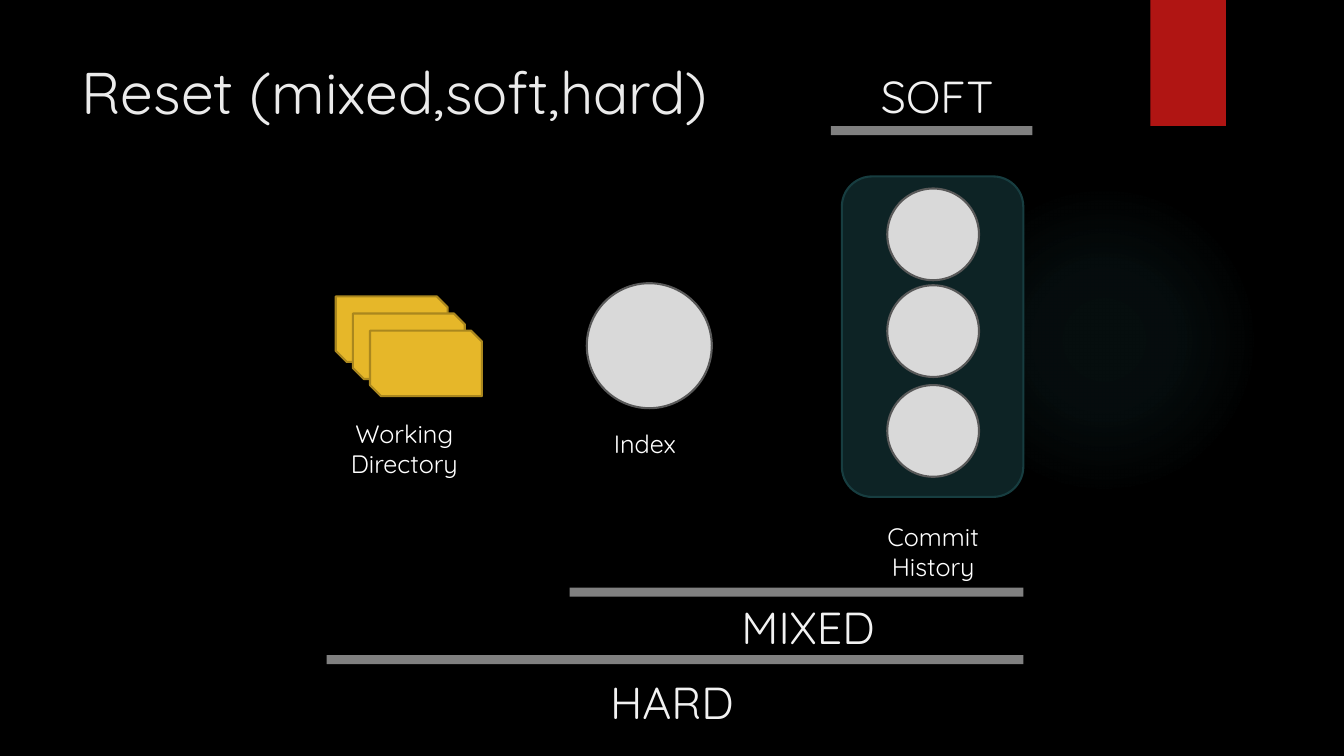
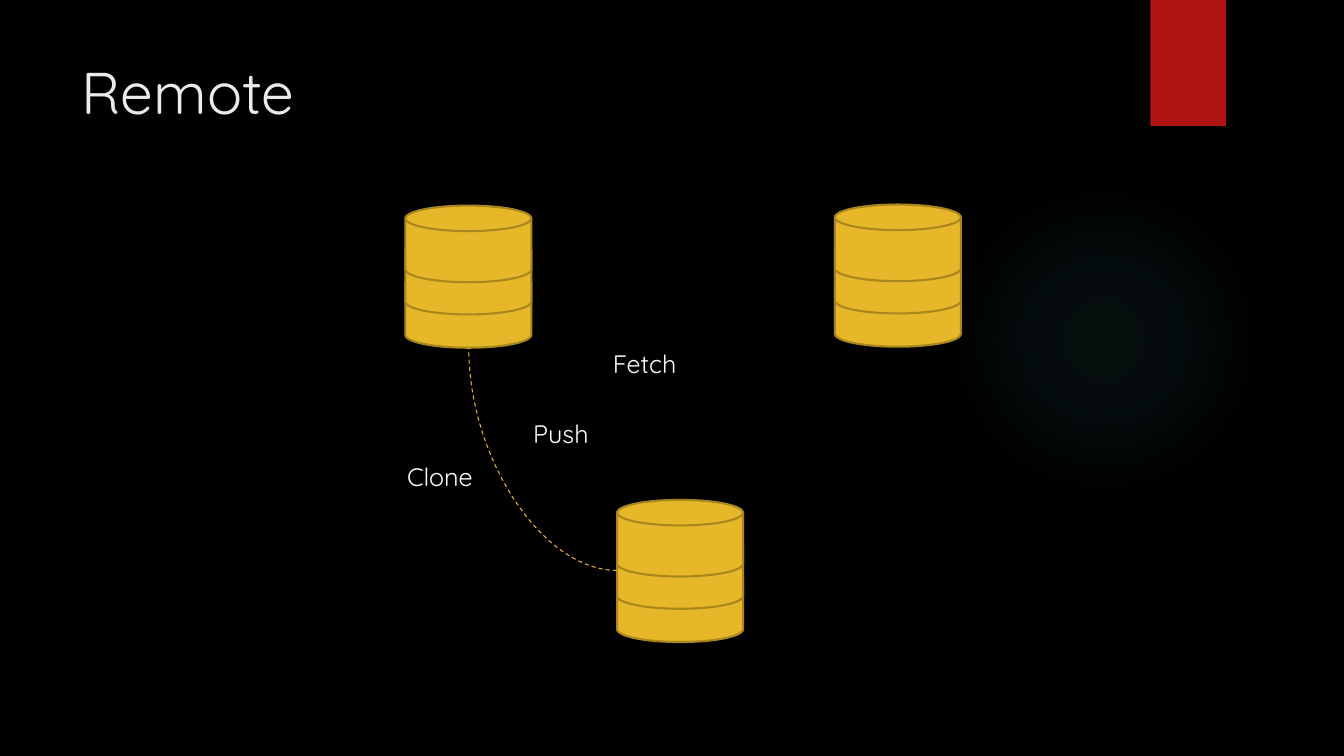
from lxml import etree
from pptx import Presentation
from pptx.dml.color import RGBColor
from pptx.enum.dml import MSO_LINE
from pptx.enum.shapes import MSO_CONNECTOR, MSO_SHAPE
from pptx.enum.text import MSO_ANCHOR, PP_ALIGN
from pptx.oxml import parse_xml
from pptx.oxml.ns import qn
from pptx.util import Inches, Pt

RECTANGLE, ROUNDED = MSO_SHAPE.RECTANGLE, MSO_SHAPE.ROUNDED_RECTANGLE
OVAL, DISK = MSO_SHAPE.OVAL, MSO_SHAPE.FLOWCHART_MAGNETIC_DISK
FILE = MSO_SHAPE.SNIP_2_DIAG_RECTANGLE
LEFT, CENTER = PP_ALIGN.LEFT, PP_ALIGN.CENTER

FONT = "Quicksand"
BLACK = RGBColor(0x00, 0x00, 0x00)
WHITE = RGBColor(0xFF, 0xFF, 0xFF)
TITLE_COLOR = RGBColor(0xEB, 0xEB, 0xEB)
MODE_COLOR = RGBColor(0xF2, 0xF2, 0xF2)
RED = RGBColor(0xB0, 0x15, 0x13)
GOLD = RGBColor(0xE6, 0xB7, 0x29)
GOLD_EDGE = RGBColor(0xAA, 0x87, 0x1E)
LIGHT_GRAY = RGBColor(0xD9, 0xD9, 0xD9)
DARK_GRAY = RGBColor(0x59, 0x59, 0x59)
BAR_GRAY = RGBColor(0x80, 0x80, 0x80)
TEAL = RGBColor(0x0D, 0x23, 0x25)
TEAL_EDGE = RGBColor(0x17, 0x3D, 0x40)

GLOW_FILL = """
<a:gradFill xmlns:a="http://schemas.openxmlformats.org/drawingml/2006/main">
  <a:gsLst>
    <a:gs pos="0"><a:srgbClr val="50B9C1"><a:alpha val="7000"/></a:srgbClr></a:gs>
    <a:gs pos="36000"><a:srgbClr val="50B9C1"><a:alpha val="6000"/></a:srgbClr></a:gs>
    <a:gs pos="69000"><a:srgbClr val="50B9C1"><a:alpha val="0"/></a:srgbClr></a:gs>
  </a:gsLst>
  <a:path path="circle"><a:fillToRect l="50000" t="50000" r="50000" b="50000"/></a:path>
</a:gradFill>"""


def add_box(slide, kind, box, fill, edge=None):
    shape = slide.shapes.add_shape(kind, *map(Inches, box))
    shape.shadow.inherit = False
    shape.fill.solid()
    shape.fill.fore_color.rgb = fill
    if edge is None:
        shape.line.fill.background()
    else:
        shape.line.color.rgb = edge
        shape.line.width = Pt(1.5)
    return shape


def add_text(slide, text, box, size=18, color=WHITE, align=CENTER):
    frame = slide.shapes.add_textbox(*map(Inches, box)).text_frame
    frame.word_wrap = True
    frame.text = text
    font_format = {"name": FONT, "size": Pt(size)}
    for paragraph in frame.paragraphs:
        paragraph.alignment = align
        for name, value in font_format.items():
            setattr(paragraph.font, name, value)
        paragraph.font.color.rgb = color


presentation = Presentation()
presentation.slide_width = Inches(13.33)
presentation.slide_height = Inches(7.5)

# Shared background and title position
layout = presentation.slide_layouts[5]
layout.background.fill.solid()
layout.background.fill.fore_color.rgb = BLACK
layout_title = layout.placeholders[0]
title_box = {"left": 0.71, "top": 0.5, "width": 10.29, "height": 1.53}
for name, value in title_box.items():
    setattr(layout_title, name, Inches(value))
layout_title.text_frame.vertical_anchor = MSO_ANCHOR.TOP

# Slides with their titles
slides = []
for title in ("Reset (mixed,soft,hard)", "Remote"):
    slide = presentation.slides.add_slide(layout)
    slide.shapes.title.text_frame.text = title
    paragraph = slide.shapes.title.text_frame.paragraphs[0]
    paragraph.alignment = LEFT
    title_format = {"name": FONT, "size": Pt(42)}
    for name, value in title_format.items():
        setattr(paragraph.runs[0].font, name, value)
    paragraph.runs[0].font.color.rgb = TITLE_COLOR
    slides.append(slide)
reset_slide, remote_slide = slides

# Glow and red tab, moved to the layout behind its title
glow = add_box(reset_slide, OVAL, (9.41, 1.83, 3.08, 3.08), BLACK)
solid_fill = glow.element.spPr.find(qn("a:solidFill"))
glow.element.spPr.replace(solid_fill, parse_xml(GLOW_FILL))
tab = add_box(reset_slide, RECTANGLE, (11.41, 0, 0.75, 1.25), RED)
for shape in (glow, tab):
    layout_title.element.addprevious(shape.element)

# Reset: working directory
for step in range(3):
    offset = step * 0.17
    add_box(reset_slide, FILE, (3.33 + offset, 2.94 + offset, 1.11, 0.65), GOLD, GOLD_EDGE)
add_text(reset_slide, "Working\nDirectory", (3.24, 4.1, 1.54, 0.71))

# Reset: index
add_box(reset_slide, OVAL, (5.82, 2.81, 1.24, 1.24), LIGHT_GRAY, DARK_GRAY)
add_text(reset_slide, "Index", (5.99, 4.2, 0.95, 0.4), align=LEFT)

# Reset: commit history
add_box(reset_slide, ROUNDED, (8.35, 1.75, 1.8, 3.18), TEAL, TEAL_EDGE)
for top in (1.87, 2.83, 3.82):
    add_box(reset_slide, OVAL, (8.8, top, 0.91, 0.91), LIGHT_GRAY, DARK_GRAY)
add_text(reset_slide, "Commit\nHistory", (8.61, 5.12, 1.29, 0.71))

# Reset: reach of each mode as (name, bar left, top, width, label left, top)
MODES = [
    ("SOFT", 8.24, 1.25, 2, 8.24, 0.63),
    ("MIXED", 5.65, 5.83, 4.5, 6.96, 5.9),
    ("HARD", 3.24, 6.5, 6.91, 5.61, 6.64),
]
for mode, bar_left, bar_top, bar_width, label_left, label_top in MODES:
    add_box(reset_slide, RECTANGLE, (bar_left, bar_top, bar_width, 0.09), BAR_GRAY)
    add_text(reset_slide, mode, (label_left, label_top, 2.11, 0.64), 32, MODE_COLOR)

# Remote: repositories, each a stack of disks drawn from the bottom up
for left, top in ((4.02, 2.04), (8.28, 2.03), (6.12, 4.96)):
    for offset in (0.65, 0.32, 0):
        add_box(remote_slide, DISK, (left, top + offset, 1.25, 0.76), GOLD, GOLD_EDGE)

# Remote: operations
for operation, left, top, width in (
    ("Push", 5.19, 4.1, 0.98),
    ("Fetch", 5.98, 3.41, 1.53),
    ("Clone", 3.94, 4.53, 0.98),
):
    add_text(remote_slide, operation, (left, top, width, 0.42), align=LEFT)

# Remote: dashed clone curve, a single quarter bend
curve = remote_slide.shapes.add_connector(
    MSO_CONNECTOR.CURVE, Inches(6.12), Inches(5.66), Inches(4.65), Inches(3.45))
curve.line.color.rgb = GOLD
curve.line.width = Pt(0.75)
curve.line.dash_style = MSO_LINE.DASH
curve_properties = curve.element.spPr
curve_properties.find(qn("a:prstGeom")).set("prst", "curvedConnector2")
etree.SubElement(curve_properties, qn("a:effectLst"))

presentation.save("out.pptx")
